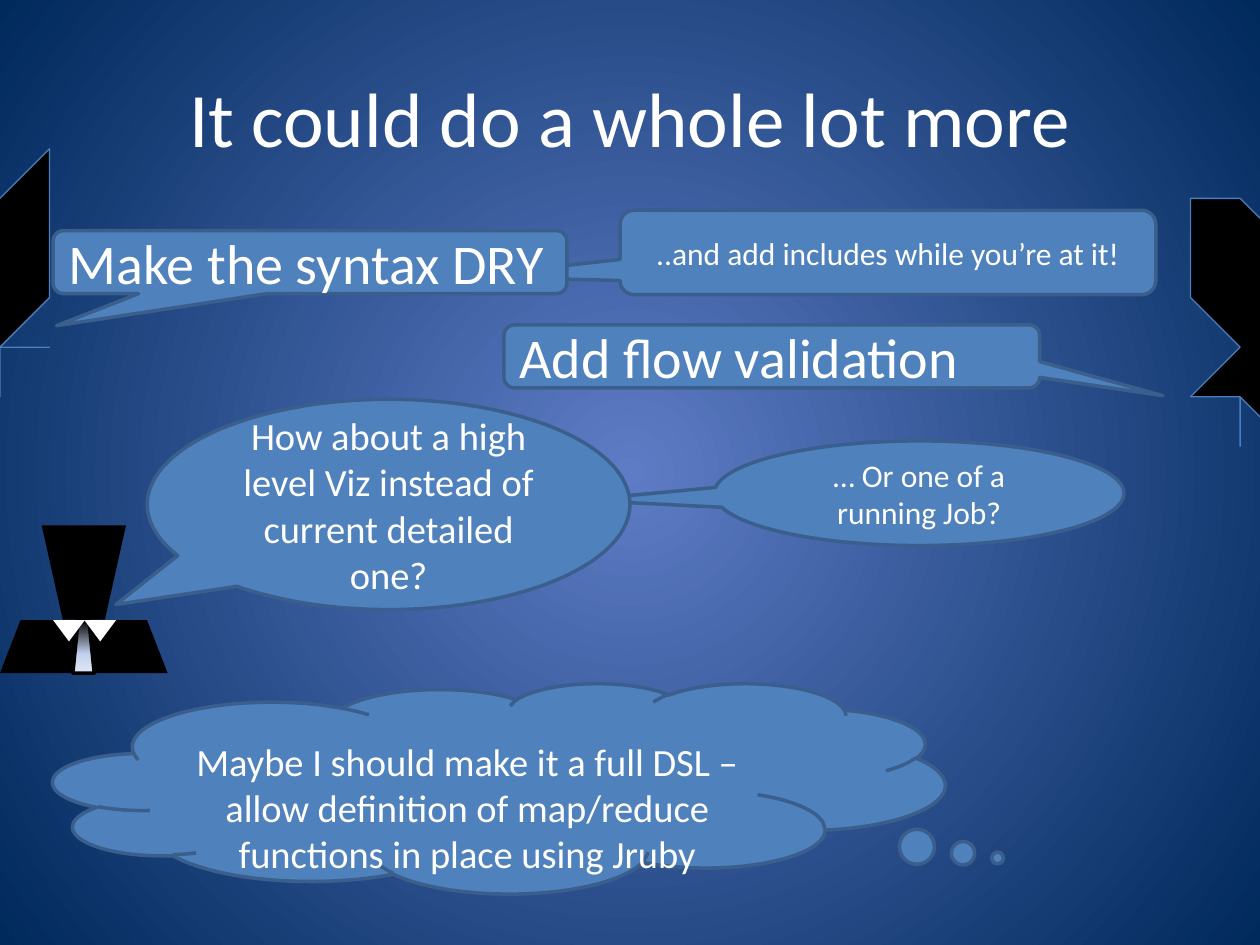
from dataclasses import dataclass

import pptx
import pptx.util
from lxml import etree
from pptx.dml.color import RGBColor
from pptx.enum.shapes import MSO_SHAPE
from pptx.enum.text import MSO_ANCHOR, PP_ALIGN
from pptx.oxml.ns import qn
from pptx.util import Cm, Pt

WHITE = RGBColor(0xFF, 0xFF, 0xFF)
BLACK = RGBColor(0, 0, 0)
BLUE = RGBColor(0x4F, 0x81, 0xBD)
EDGE = RGBColor(0x3A, 0x5F, 0x8C)
THIN_EDGE = RGBColor(0x4B, 0x7E, 0xBC)
BG_CENTRE = RGBColor(0x5E, 0x7C, 0xC5)
BG_RIM = RGBColor(0x00, 0x29, 0x5C)
TIE_MID = RGBColor(0xC2, 0xD1, 0xED)
TIE_END = RGBColor(0xE1, 0xE8, 0xF5)

ROUND = MSO_SHAPE.ROUNDED_RECTANGULAR_CALLOUT
OVAL = MSO_SHAPE.OVAL_CALLOUT
CLOUD = MSO_SHAPE.CLOUD_CALLOUT
TRAPEZOID = MSO_SHAPE.TRAPEZOID
TRIANGLE = MSO_SHAPE.ISOSCELES_TRIANGLE


@dataclass
class Callout:
    kind: MSO_SHAPE
    box: tuple  # left, top, width, height in cm
    adj: tuple
    text: str
    size: int
    align: PP_ALIGN = PP_ALIGN.CENTER
    margin_top: float = 0.13


@dataclass
class Part:
    kind: MSO_SHAPE
    box: tuple
    color: RGBColor = BLACK
    rotation: int = 0
    adj: tuple = ()


ADD_FLOW = Callout(ROUND, (10.16, 6.55, 10.8, 1.27), (0.73, 0.625, 0.167),
                   "Add flow validation", 32, PP_ALIGN.LEFT)
CALLOUTS = [
    Callout(CLOUD, (1.07, 13.77, 17.98, 4.24), (0.559, 0.332),
            "Maybe I should make it a full DSL – allow definition of "
            "map/reduce functions in place using Jruby", 22, margin_top=1.08),
    Callout(OVAL, (14.4, 8.89, 8.26, 2.11), (-0.828, 0.066),
            "… Or one of a running Job?", 18),
    Callout(OVAL, (2.97, 8.05, 9.73, 4.24), (-0.565, 0.476),
            "How about a high level Viz instead of current detailed one?", 22),
    Callout(ROUND, (12.5, 4.24, 10.8, 1.7), (-0.789, 0.287, 0.167),
            "..and add includes while you’re at it!", 18),
    Callout(ROUND, (1.07, 4.65, 10.36, 1.27), (-0.493, 1.009, 0.167),
            "Make the syntax DRY", 32, PP_ALIGN.LEFT),
]

SHOULDERS = Part(TRAPEZOID, (0, 12.5, 3.38, 1.07), adj=(0.388,))
HEAD = Part(TRAPEZOID, (0.84, 10.59, 1.7, 1.9), rotation=180)
TIE = Part(TRAPEZOID, (1.47, 12.5, 0.43, 1.07))
COLLARS = [Part(TRIANGLE, (left, 12.5, 0.64, 0.43), WHITE, 180)
           for left in (1.7, 1.07)]

LEFT_PROFILE = [
    (-0.15, 3.81), (0.81, 3.38), (1.47, 3.84), (1.07, 4.37), (0.76, 4.47),
    (0.76, 5.31), (0.91, 6.3), (0.51, 6.3), (0.2, 6.53), (0.36, 6.61),
    (0.68, 6.64), (0.89, 6.69), (0.83, 6.74), (0.69, 6.78), (0.53, 7.47),
    (0.03, 7.34), (-0.03, 7.34), (-0.15, 7.9)]
RIGHT_PROFILE = [
    (25.53, 4.55), (25.35, 4.47), (25.17, 4.39), (24.99, 4.34), (24.82, 4.27),
    (24.21, 4.34), (23.93, 4.83), (24.13, 5.33), (24.38, 5.64), (24.31, 5.84),
    (24.31, 6.45), (24.56, 6.78), (24.41, 7.72), (24.71, 7.8), (24.84, 7.98),
    (24.56, 8.05), (24.56, 8.64), (24.87, 8.64), (25.22, 8.33), (25.55, 8.89)]


def set_format(obj, values: dict) -> None:
    for name, value in values.items():
        setattr(obj, name, value)


def write_text(sp, text: str, size: int, align: PP_ALIGN, margin_top: float = 0.13) -> None:
    tf = sp.text_frame
    set_format(tf, {"word_wrap": True, "vertical_anchor": MSO_ANCHOR.MIDDLE,
                    "margin_top": Cm(margin_top)})
    p = tf.paragraphs[0]
    p.alignment = align
    r = p.add_run()
    r.text = text
    set_format(r.font, {"name": "Calibri", "size": Pt(size)})
    r.font.color.rgb = WHITE


def paint(sp, fill: RGBColor, line: RGBColor | None = None, width: float = 0) -> None:
    sp.shadow.inherit = False
    sp.fill.solid()
    sp.fill.fore_color.rgb = fill
    if line is None:
        sp.line.fill.background()
    else:
        sp.line.color.rgb = line
        sp.line.width = Pt(width)


def set_gradient(fill, owner, stops: list, radial: bool = False) -> None:
    """Give a fill its colour stops, running outwards or downwards."""
    fill.gradient()
    grad = next(owner.iter(qn("a:gradFill")))
    for child in list(grad):
        grad.remove(child)
    gs_list = etree.SubElement(grad, qn("a:gsLst"))
    for pos, color in stops:
        gs = etree.SubElement(gs_list, qn("a:gs"), pos=str(pos * 1000))
        etree.SubElement(gs, qn("a:srgbClr"), val=str(color))
    if radial:
        route = etree.SubElement(grad, qn("a:path"), path="circle")
        etree.SubElement(route, qn("a:fillToRect"),
                         dict.fromkeys("ltrb", "50000"))
    else:
        etree.SubElement(grad, qn("a:lin"), ang="5400000", scaled="0")


def add_preset(s, kind: MSO_SHAPE, box: tuple, adj: tuple):
    sp = s.shapes.add_shape(kind, *map(Cm, box))
    for i, value in enumerate(adj):
        sp.adjustments[i] = value
    return sp


def add_callout(s, c: Callout) -> None:
    sp = add_preset(s, c.kind, c.box, c.adj)
    paint(sp, BLUE, EDGE, 2)
    write_text(sp, c.text, c.size, c.align, c.margin_top)


def add_part(s, part: Part):
    sp = add_preset(s, part.kind, part.box, part.adj)
    sp.rotation = part.rotation
    paint(sp, part.color)
    return sp


def add_profile(s, points: list) -> None:
    fb = s.shapes.build_freeform(*points[0], scale=Cm(1))
    fb.add_line_segments(points[1:], close=False)
    paint(fb.convert_to_shape(), BLACK, THIN_EDGE, 0.75)


def main() -> None:
    prs = pptx.Presentation()
    prs.slide_width, prs.slide_height = Cm(25.4), Cm(19.05)
    s = prs.slides.add_slide(prs.slide_layouts[6])

    # Background and title
    set_gradient(s.background.fill, s.element,
                 [(0, BG_CENTRE), (100, BG_RIM)], radial=True)
    title = s.shapes.add_textbox(*map(Cm, (1.27, 0.76, 22.86, 3.18)))
    write_text(title, "It could do a whole lot more", 44, PP_ALIGN.CENTER)

    # Speakers at the slide edges
    add_callout(s, ADD_FLOW)
    for points in (LEFT_PROFILE, RIGHT_PROFILE):
        add_profile(s, points)

    # Figure with collar and tie
    add_part(s, SHOULDERS)
    add_part(s, HEAD)
    tie = add_part(s, TIE)
    set_gradient(tie.fill, tie.element,
                 [(0, BLACK), (64, TIE_MID), (100, TIE_END)])
    tie.line.color.rgb = BLACK
    tie.line.width = Pt(2)
    for collar in COLLARS:
        add_part(s, collar)

    # Remaining speech and thought bubbles
    for callout in CALLOUTS:
        add_callout(s, callout)

    prs.save("out.pptx")


if __name__ == "__main__":
    main()
